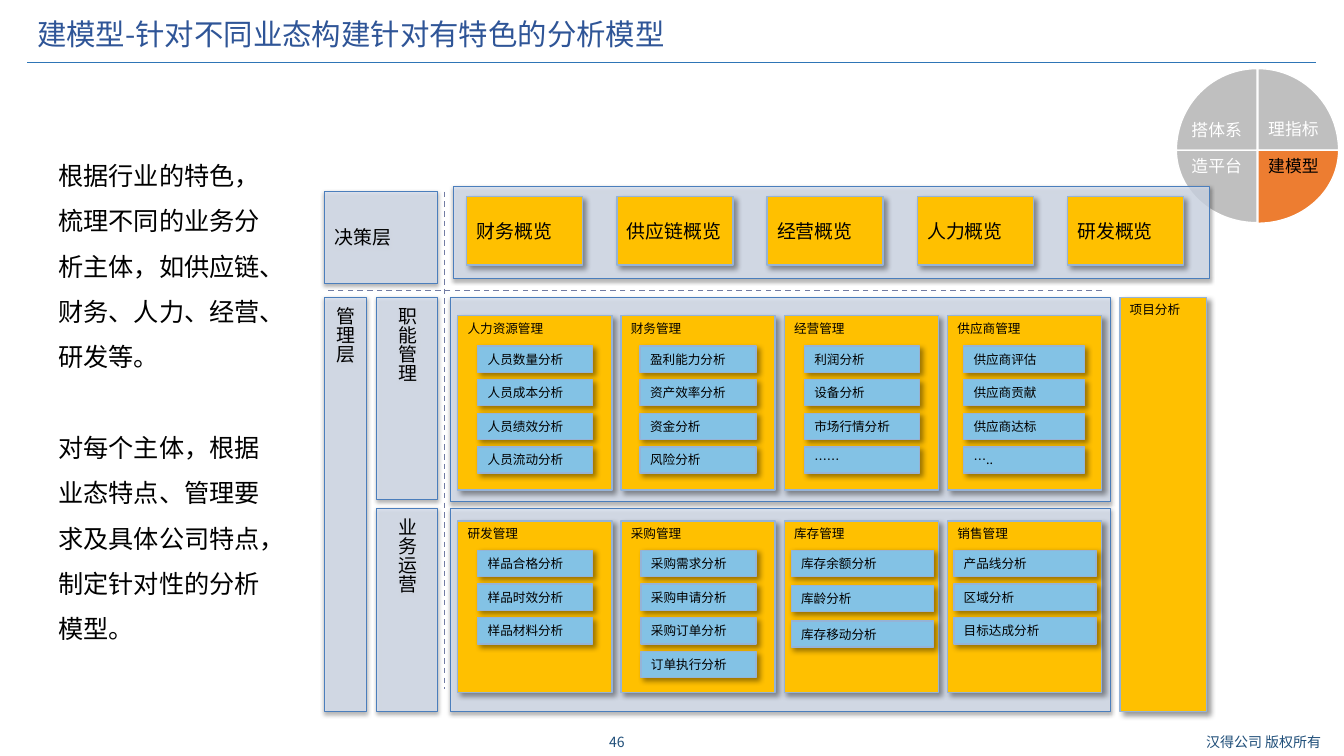
from math import cos, radians, sin

from lxml.etree import SubElement
from pptx import Presentation
from pptx.dml.color import RGBColor
from pptx.enum.dml import MSO_LINE
from pptx.enum.shapes import MSO_CONNECTOR, MSO_SHAPE
from pptx.enum.text import MSO_ANCHOR, PP_ALIGN
from pptx.oxml.ns import qn
from pptx.util import Pt

BLACK = RGBColor(0x00, 0x00, 0x00)
WHITE = RGBColor(0xFF, 0xFF, 0xFF)
GREY = RGBColor(0xBF, 0xBF, 0xBF)
ORANGE = RGBColor(0xED, 0x7D, 0x31)
GOLD = RGBColor(0xFF, 0xC0, 0x00)
SKY = RGBColor(0x83, 0xC2, 0xE5)
MIST = RGBColor(0xDA, 0xE3, 0xF3)
PANEL_EDGE = RGBColor(0x4B, 0x7E, 0xBC)
CARD_EDGE = RGBColor(0x95, 0xB3, 0xD7)
DASH_BLUE = RGBColor(0x72, 0x7C, 0xA3)
RULE_BLUE = RGBColor(0x2E, 0x75, 0xB6)
TITLE_BLUE = RGBColor(0x2F, 0x55, 0x97)
FOOTER_BLUE = RGBColor(0x1F, 0x4E, 0x79)

# Shadows: opacity %, blur, distance, angle
PANEL = dict(fill=MIST, alpha=74, edge=PANEL_EDGE, weight=0.75, shadow=(38, 3.1, 1.6, 90))
CARD = dict(fill=GOLD, edge=CARD_EDGE, weight=1, shadow=(40, 4, 3, 45))
CHIP = CARD | dict(fill=SKY)


class Board:
    """Style and current page; every length is in points."""

    font_name = "Noto Sans CJK SC"

    def __init__(self, page):
        self.page = page

    def fill_text(self, box, texts, size, color=BLACK, align=PP_ALIGN.LEFT,
                  anchor=MSO_ANCHOR.MIDDLE, vertical=False, margins=None, **spacing):
        frame = box.text_frame
        sides = dict(zip(("left", "top", "right", "bottom"), margins or (7.2, 3.6, 7.2, 3.6)))
        for side, value in sides.items():
            setattr(frame, f"margin_{side}", Pt(value))
        frame.word_wrap = True
        frame.vertical_anchor = anchor
        if vertical:
            frame._txBody.bodyPr.set("vert", "eaVert")
        for index, text in enumerate(texts):
            para = frame.paragraphs[0] if index == 0 else frame.add_paragraph()
            formats = dict(alignment=align) | spacing
            if index == 0:
                formats.pop("space_before", None)
            for name, value in formats.items():
                setattr(para, name, value)
            span = para.add_run()
            span.text = text
            for name, value in dict(name=self.font_name, size=Pt(size)).items():
                setattr(span.font, name, value)
            span.font.color.rgb = color
            SubElement(span.font._element, qn("a:ea"), typeface=self.font_name)

    def text(self, area, texts, size, **style):
        box = self.page.shapes.add_textbox(*map(Pt, area))
        self.fill_text(box, texts, size, **style)

    def paint(self, shape, fill, edge, weight, alpha=None, shadow=None):
        shape.fill.solid()
        shape.fill.fore_color.rgb = fill
        shape.line.color.rgb = edge
        shape.line.width = Pt(weight)
        shape.shadow.inherit = False
        properties = shape._element.spPr
        if alpha:
            color = properties.find(qn("a:solidFill")).find(qn("a:srgbClr"))
            SubElement(color, qn("a:alpha"), val=str(alpha * 1000))
        if shadow:
            opacity, blur, distance, angle = shadow
            outer = SubElement(properties.find(qn("a:effectLst")), qn("a:outerShdw"),
                               blurRad=str(Pt(blur)), dist=str(Pt(distance)),
                               dir=str(angle * 60000), rotWithShape="0")
            color = SubElement(outer, qn("a:srgbClr"), val=str(BLACK))
            SubElement(color, qn("a:alpha"), val=str(opacity * 1000))

    def rectangle(self, area, look, text=None, size=9, **style):
        box = self.page.shapes.add_shape(MSO_SHAPE.RECTANGLE, *map(Pt, area))
        self.paint(box, **look)
        if text:
            self.fill_text(box, [text], size, **style)

    def line(self, ends, color, weight, dash=None):
        rule = self.page.shapes.add_connector(MSO_CONNECTOR.STRAIGHT, *map(Pt, ends))
        rule.line.color.rgb = color
        rule.line.width = Pt(weight)
        if dash:
            rule.line.dash_style = dash
        SubElement(rule._element.spPr, qn("a:effectLst"))

    def quarter(self, center, radii, start, text, fill, color, margins):
        arc = [(Pt(center[0] + radii[0] * cos(radians(angle))),
                Pt(center[1] + radii[1] * sin(radians(angle))))
               for angle in range(start, start + 91, 3)]
        builder = self.page.shapes.build_freeform(Pt(center[0]), Pt(center[1]))
        builder.add_line_segments(arc, close=True)
        shape = builder.convert_to_shape()
        self.paint(shape, fill, WHITE, 1)
        self.fill_text(shape, [text], 12, color=color, align=PP_ALIGN.CENTER, margins=margins)


# Each card: title, chip indent, chip width, chip pitch, chips
FUNCTION_CARDS = [
    ("人力资源管理", 14.4, 82.1, 24, ["人员数量分析", "人员成本分析", "人员绩效分析", "人员流动分析"]),
    ("财务管理", 13.7, 82.8, 24, ["盈利能力分析", "资产效率分析", "资金分析", "风险分析"]),
    ("经营管理", 14.4, 82.1, 24, ["利润分析", "设备分析", "市场行情分析", "……"]),
    ("供应商管理", 11.5, 86.4, 24, ["供应商评估", "供应商贡献", "供应商达标", "….."]),
]
OPERATION_CARDS = [
    ("研发管理", 14.4, 82.1, 24.1, ["样品合格分析", "样品时效分析", "样品材料分析"]),
    ("采购管理", 14.4, 82.1, 24.1, ["采购需求分析", "采购申请分析", "采购订单分析", "订单执行分析"]),
    ("库存管理", 5, 101.5, 25.2, ["库存余额分析", "库龄分析", "库存移动分析"]),
    ("销售管理", 4.5, 101.5, 24.1, ["产品线分析", "区域分析", "目标达成分析"]),
]
OVERVIEWS = ["财务概览", "供应链概览", "经营概览", "人力概览", "研发概览"]
# Each wheel part: label, start angle, centre x, vertical radius, fill, text colour, margins
WHEEL = [
    ("搭体系", 180, 897.9, 58.3, GREY, WHITE, (7, 29, 7, 0)),
    ("理指标", 270, 898.6, 58.3, GREY, WHITE, (0, 28, 7, 0)),
    ("建模型", 0, 898.6, 52.2, ORANGE, BLACK, (0, 0, 7, 30)),
    ("造平台", 90, 897.9, 51.8, GREY, WHITE, (7, 0, 7, 30)),
]


def main():
    deck = Presentation()
    deck.slide_width, deck.slide_height = Pt(960), Pt(540)
    board = Board(deck.slides.add_slide(deck.slide_layouts[6]))

    # Footer, title and rule
    footer = dict(color=FOOTER_BLUE, align=PP_ALIGN.CENTER)
    board.text((415.4, 520.6, 50.4, 19.4), ["46"], 10, **footer)
    board.text((845.3, 520.6, 114.5, 19.4), ["汉得公司 版权所有"], 10, **footer)
    board.line((19.4, 44.6, 940.3, 44.6), RULE_BLUE, 0.75)
    board.text((19.4, 10.8, 833, 30.2), ["建模型-针对不同业态构建针对有特色的分析模型"], 21,
               color=TITLE_BLUE, line_spacing=0.9)

    # Navigation wheel
    for label, start, center_x, radius, fill, color, margins in WHEEL:
        board.quarter((center_x, 107.3), (57.6, radius), start, label, fill, color, margins)

    # Layer panels
    board.line((317.5, 136.8, 317.5, 492.5), DASH_BLUE, 1, MSO_LINE.DASH)
    board.rectangle((231.8, 136.8, 80.6, 65.5), PANEL, "决策层", 13.5)
    board.rectangle((324, 133.2, 540, 65.5), PANEL)
    for area, label in [((231.8, 212.4, 30.2, 295.9), "管理层"),
                        ((269.3, 212.4, 43.2, 144.7), "职能管理"),
                        ((269.3, 362.9, 43.2, 145.4), "业务运营")]:
        board.rectangle(area, PANEL, label, 13.5, vertical=True)
    board.line((787, 207.4, 231.8, 207.4), DASH_BLUE, 1, MSO_LINE.DASH)

    # Overview cards
    for column, label in enumerate(OVERVIEWS):
        board.rectangle((333.4 + column * 107.3, 140.4, 82.8, 49), CARD, label, 13.5)

    # Management cards with their analysis chips
    for cards, panel_top, panel_height, card_top, card_height, chip_top in [
            (FUNCTION_CARDS, 212.4, 146.2, 225.4, 124.6, 247.2),
            (OPERATION_CARDS, 362.9, 145.4, 372.2, 122.4, 393.1)]:
        board.rectangle((321.8, panel_top, 471.6, panel_height), PANEL)
        for column, (title, indent, width, pitch, chips) in enumerate(cards):
            left = 326.9 + column * 116.64
            board.rectangle((left, card_top, 110.2, card_height), CARD, title,
                            anchor=MSO_ANCHOR.TOP)
            for row, chip in enumerate(chips):
                board.rectangle((left + indent, chip_top + row * pitch, width, 18.7), CHIP, chip)
    board.rectangle((799.9, 212.4, 61.9, 295.9), CARD, "项目分析", anchor=MSO_ANCHOR.TOP)

    # Explanation
    board.text((34.6, 100.1, 163.4, 367.2),
               ["根据行业的特色，梳理不同的业务分析主体，如供应链、财务、人力、经营、研发等。",
                "对每个主体，根据业态特点、管理要求及具体公司特点，制定针对性的分析模型。"],
               18, anchor=MSO_ANCHOR.TOP, line_spacing=Pt(32.4), space_before=Pt(32.4))

    deck.save("out.pptx")


if __name__ == "__main__":
    main()
